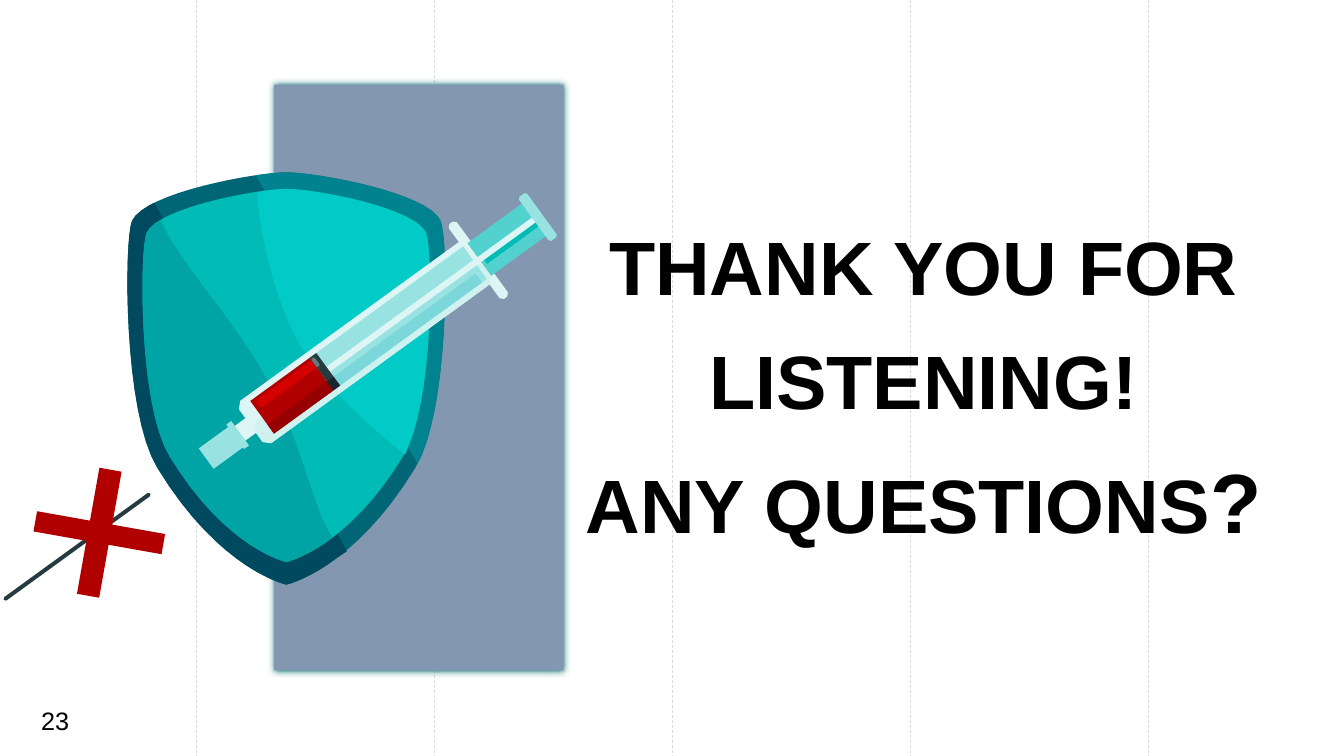
from math import cos, radians, sin

from lxml import etree
from pptx import Presentation
from pptx import util as u
from pptx.dml.color import RGBColor
from pptx.enum import dml, shapes, text
from pptx.oxml.ns import qn

PX = 9144  # EMU per px, 100 px to the inch
WIDTH, HEIGHT = 1333, 750
FONT = "Arial"
CURVE_STEPS = 16

COLORS = {
    "black": "000000", "guide": "D9D9D9", "panel": "8497B0", "glow": "127577",
    "rim": "006574", "rim_light": "00828F", "rim_dark": "00495F",
    "face": "01BBB6", "face_light": "02CAC6", "face_dark": "00A4A5",
    "glass": "98E3E2", "glass_shade": "7BD7D9", "glass_edge": "DDF6F5",
    "edge_shade": "CFF2F1", "plunger": "53D1CE", "steel": "263B40",
    "steel_dark": "172630", "steel_light": "627B80",
    "red": "B00000", "red_light": "D40000", "red_dark": "960000",
}

TITLE = [
    [("THANK YOU FOR LISTENING!", 54)],
    [("ANY QUESTIONS", 54), ("?", 60)],
]
TITLE_BOX = (545, 191, 742, 338)
PAGE_NUMBER = "23"
PAGE_BOX = (31, 695, 99, 40)
PANEL_BOX = (272, 84, 287, 581)
CROSS_BOX = (34, 465, 129, 127)
GUIDE_COUNT, GUIDE_STEP = 5, 236

# A pair is a corner, six numbers are a cubic curve.
SHIELD_LEFT = [(284, 171), (254, 171, 144, 191, 131, 219),
               (123, 237, 122, 409, 156, 464), (218, 566, 284, 580, 284, 580)]
SHIELD_CENTER = (284, 344)
FACE_SCALE = 0.905
RIM_CUTS = [("rim_dark", [(153, 201), (344, 547)]),
            ("rim_light", [(414, 460), (254, 174)])]
FACE_CUTS = [
    ("face_dark", [(159, 218), (177, 260, 236, 321, 266, 379), (299, 435, 311, 509, 330, 533)]),
    ("face_light", [(402, 451), (357, 416, 310, 370, 291, 330), (267, 279, 258, 227, 255, 191)]),
]

# Strips of the syringe: from and to along its axis, from and to across it, corner cut.
SYRINGE_ORIGIN, SYRINGE_ANGLE = (260, 414), 36
SYRINGE = [
    ("glass_edge", 260, 270, -46, 46, 3),
    ("plunger", 266, 337, -20, 20, 0),
    ("glass_edge", -14, 266, -26, 26, 6),
    ("edge_shade", -14, 266, 0, 26, 6),
    ("glass_edge", -36, -12, -9, 9, 0),
    ("glass", -69, -29, -12, 13, 0),
    ("steel", -314, -134, -6, -2, 2),
    ("glass", -33, -27, -15, 15, 0),
    ("glass", 81, 261, -20, 20, 0),
    ("glass_shade", 81, 255, 9, 20, 0),
    ("face", 270, 336, 2, 8, 0),
    ("glass_edge", 81, 335, -3, 3, 0),
    ("red", 0, 73, -20, 20, 0),
    ("red_light", 4, 73, -17, -8, 2),
    ("red_dark", 0, 73, 9, 20, 0),
    ("steel", 73, 81, -20, 20, 0),
    ("steel_light", 73, 77, -18, -8, 1),
    ("steel_dark", 73, 81, 9, 20, 0),
    ("glass", 333, 343, -27, 27, 2),
]


def px(values):
    return [round(v * PX) for v in values]


def rgb(name):
    return RGBColor.from_string(COLORS[name])


def paint(sp, color):
    sp.shadow.inherit = False
    sp.fill.solid()
    sp.fill.fore_color.rgb = rgb(color)
    sp.line.fill.background()


def flatten(outline):
    """Turn corners and cubic curves into a list of points."""
    points = []
    for step in outline:
        if len(step) == 2:
            points.append(step)
            continue
        start, ctrl1, ctrl2, end = points[-1], step[:2], step[2:4], step[4:]
        for i in range(1, CURVE_STEPS + 1):
            t = i / CURVE_STEPS
            points.append(tuple(
                (1 - t) ** 3 * a + 3 * (1 - t) ** 2 * t * b + 3 * (1 - t) * t * t * c + t ** 3 * d
                for a, b, c, d in zip(start, ctrl1, ctrl2, end)))
    return points


def add_outline(parent, color, points):
    start, *rest = [px(p) for p in points]
    builder = parent.build_freeform(*start)
    builder.add_line_segments(rest, close=True)
    paint(builder.convert_to_shape(), color)


def cut_off(points, cut):
    """Return the part of a closed outline that lies on one side of a cut."""
    (x0, y0), (x1, y1) = cut[0], cut[-1]
    inside = [(x1 - x0) * (y - y0) > (y1 - y0) * (x - x0) for x, y in points]
    first = next(i for i in range(len(points)) if inside[i] and not inside[i - 1])
    order = [*range(first, len(points)), *range(first)]
    return [points[i] for i in order if inside[i]] + cut[::-1]


def add_shield(parent):
    cx, cy = SHIELD_CENTER
    left = flatten(SHIELD_LEFT)
    rim = left + [(2 * cx - x, y) for x, y in left[-2:0:-1]]
    face = [(cx + (x - cx) * FACE_SCALE, cy + (y - cy) * FACE_SCALE) for x, y in rim]
    for color, points, cuts in (("rim", rim, RIM_CUTS), ("face", face, FACE_CUTS)):
        add_outline(parent, color, points)
        for shade, cut in cuts:
            add_outline(parent, shade, cut_off(points, flatten(cut)))


def add_syringe(parent):
    x0, y0 = SYRINGE_ORIGIN
    c, s = cos(radians(SYRINGE_ANGLE)), sin(radians(SYRINGE_ANGLE))
    for color, a0, a1, b0, b1, k in SYRINGE:
        corners = [(a0 + k, b0), (a1 - k, b0), (a1, b0 + k), (a1, b1 - k),
                   (a1 - k, b1), (a0 + k, b1), (a0, b1 - k), (a0, b0 + k)]
        add_outline(parent, color, [(x0 + a * c + b * s, y0 - a * s + b * c) for a, b in corners])


def add_guide(slide, x):
    line = slide.shapes.add_connector(shapes.MSO_CONNECTOR.STRAIGHT, *px((x, 0, x, HEIGHT)))
    line.line.color.rgb = rgb("guide")
    line.line.width = u.Pt(0.5)
    line.line.dash_style = dml.MSO_LINE.DASH
    etree.SubElement(line.element.spPr, qn("a:effectLst"))


def add_panel(slide):
    sp = slide.shapes.add_shape(shapes.MSO_SHAPE.RECTANGLE, *px(PANEL_BOX))
    paint(sp, "panel")
    effects = sp.element.spPr.find(qn("a:effectLst"))
    glow = etree.SubElement(effects, qn("a:outerShdw"), blurRad=str(u.Pt(5)), dist="0",
                            dir="0", algn="ctr", rotWithShape="0")
    etree.SubElement(glow, qn("a:srgbClr"), val=COLORS["glow"])


def add_run(p, words, size, bold=False):
    r = p.add_run()
    r.text = words
    r.font.name, r.font.size, r.font.bold = FONT, u.Pt(size), bold
    r.font.color.rgb = rgb("black")


def fill_title(slide):
    title = slide.shapes.title
    title.left, title.top, title.width, title.height = px(TITLE_BOX)
    tf = title.text_frame
    tf.word_wrap = True
    tf.auto_size = text.MSO_AUTO_SIZE.NONE
    tf.vertical_anchor = text.MSO_ANCHOR.TOP
    for i, runs in enumerate(TITLE):
        p = tf.add_paragraph() if i else tf.paragraphs[0]
        p.alignment = text.PP_ALIGN.CENTER
        p.line_spacing = 1.25
        for words, size in runs:
            add_run(p, words, size, bold=True)
    slide.shapes.element.append(title.element)  # in front of the guides


def main():
    prs = Presentation()
    prs.slide_width, prs.slide_height = px((WIDTH, HEIGHT))
    slide = prs.slides.add_slide(prs.slide_layouts[5])

    for i in range(GUIDE_COUNT):
        add_guide(slide, WIDTH / 2 + (i - GUIDE_COUNT // 2) * GUIDE_STEP)
    add_panel(slide)

    art = slide.shapes.add_group_shape().shapes
    add_shield(art)
    add_syringe(art)
    cross = art.add_shape(shapes.MSO_SHAPE.CROSS, *px(CROSS_BOX))
    cross.adjustments[0] = 0.42
    cross.rotation = 10.1
    paint(cross, "red")

    fill_title(slide)
    tf = slide.shapes.add_textbox(*px(PAGE_BOX)).text_frame
    tf.word_wrap = True
    add_run(tf.paragraphs[0], PAGE_NUMBER, 18)
    prs.save("out.pptx")


if __name__ == "__main__":
    main()
